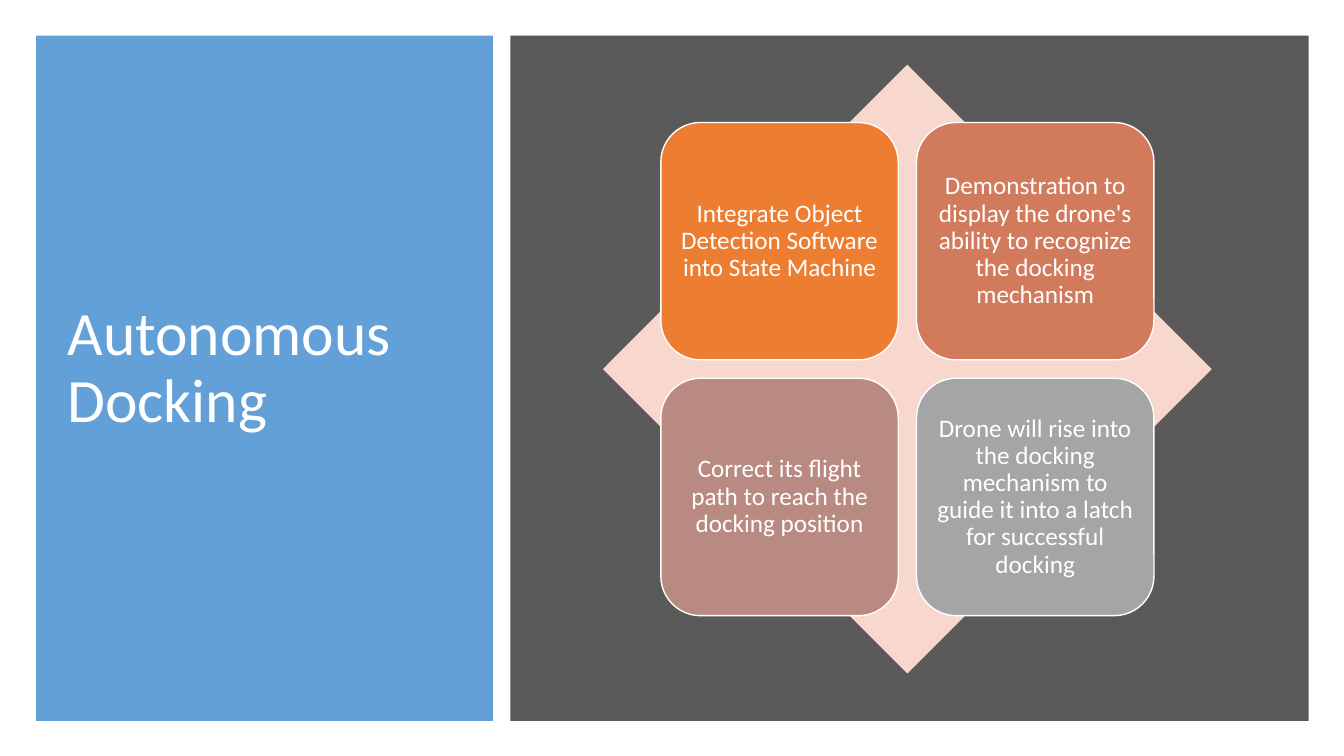
from lxml.etree import SubElement
from pptx import Presentation
from pptx.dml.color import RGBColor
from pptx.enum.shapes import MSO_SHAPE
from pptx.enum.text import MSO_ANCHOR, MSO_AUTO_SIZE, PP_ALIGN
from pptx.oxml.ns import qn
from pptx.util import Pt


def rgb(color):
    return RGBColor.from_string(color)


class Deck:
    font = "Calibri"
    text_color = "FFFFFF"

    def __init__(self, width, height):
        self.prs = Presentation()
        self.prs.slide_width, self.prs.slide_height = Pt(width), Pt(height)
        self.s = self.prs.slides.add_slide(self.prs.slide_layouts[5])

    def add_text(self, sp, text, size, align, inset_x, inset_y):
        tf = sp.text_frame
        frame_format = {
            "word_wrap": True,
            "auto_size": MSO_AUTO_SIZE.NONE,
            "vertical_anchor": MSO_ANCHOR.MIDDLE,
            "margin_left": Pt(inset_x),
            "margin_right": Pt(inset_x),
            "margin_top": Pt(inset_y),
            "margin_bottom": Pt(inset_y),
        }
        for name, value in frame_format.items():
            setattr(tf, name, value)
        p = tf.paragraphs[0]
        p.alignment, p.line_spacing = align, 0.9
        r = p.add_run()
        r.text = text
        for name, value in {"name": self.font, "size": Pt(size)}.items():
            setattr(r.font, name, value)
        r.font.color.rgb = rgb(self.text_color)

    def title(self, text, left, top, width, height):
        sp = self.s.shapes.title
        box = {"left": left, "top": top, "width": width, "height": height}
        for name, value in box.items():
            setattr(sp, name, Pt(value))
        self.add_text(sp, text, 44, PP_ALIGN.LEFT, 7.2, 3.6)

    def shape(self, parent, kind, box, fill, line=None, alpha=None):
        sp = parent.shapes.add_shape(kind, *map(Pt, box))
        sp.shadow.inherit = False
        sp.fill.solid()
        sp.fill.fore_color.rgb = rgb(fill)
        if alpha:
            color = sp.element.spPr.find(qn("a:solidFill"))[0]
            SubElement(color, qn("a:alpha"), val=str(alpha * 1000))
        if line:
            sp.line.color.rgb = rgb(line)
            sp.line.width = Pt(1)
        else:
            sp.line.fill.background()
        return sp

    def panel(self, box, fill, alpha=None):
        sp = self.shape(self.s, MSO_SHAPE.RECTANGLE, box, fill, alpha=alpha)
        self.s.shapes.title.element.addprevious(sp.element)

    def matrix(self, left, top, size, fill, cards):
        grp = self.s.shapes.add_group_shape()
        self.shape(grp, MSO_SHAPE.DIAMOND, (left, top, size, size), fill)
        side, step, margin = 0.39 * size, 0.42 * size, 0.095 * size
        for i, (text, color) in enumerate(cards):
            row, col = divmod(i, 2)
            box = (left + margin + col * step, top + margin + row * step, side, side)
            sp = self.shape(grp, MSO_SHAPE.ROUNDED_RECTANGLE, box, color, line="FFFFFF")
            self.add_text(sp, text, 18, PP_ALIGN.CENTER, 5.4, 5.4)


def main():
    deck = Deck(960, 540)
    deck.panel((25.9, 25.4, 326.2, 489.6), "5B9BD5", alpha=95)
    deck.panel((364.5, 25.4, 570.2, 489.6), "595959")
    deck.title("Autonomous Docking", 41, 46.2, 293, 434.9)
    deck.matrix(430.7, 46.2, 434.9, "F8D7CE", [
        ("Integrate Object Detection Software into State Machine", "ED7D31"),
        ("Demonstration to display the drone's ability to recognize the docking mechanism", "D17B5C"),
        ("Correct its flight path to reach the docking position", "B98A82"),
        ("Drone will rise into the docking mechanism to guide it into a latch for successful docking", "A5A5A5"),
    ])
    deck.prs.save("out.pptx")


if __name__ == "__main__":
    main()
